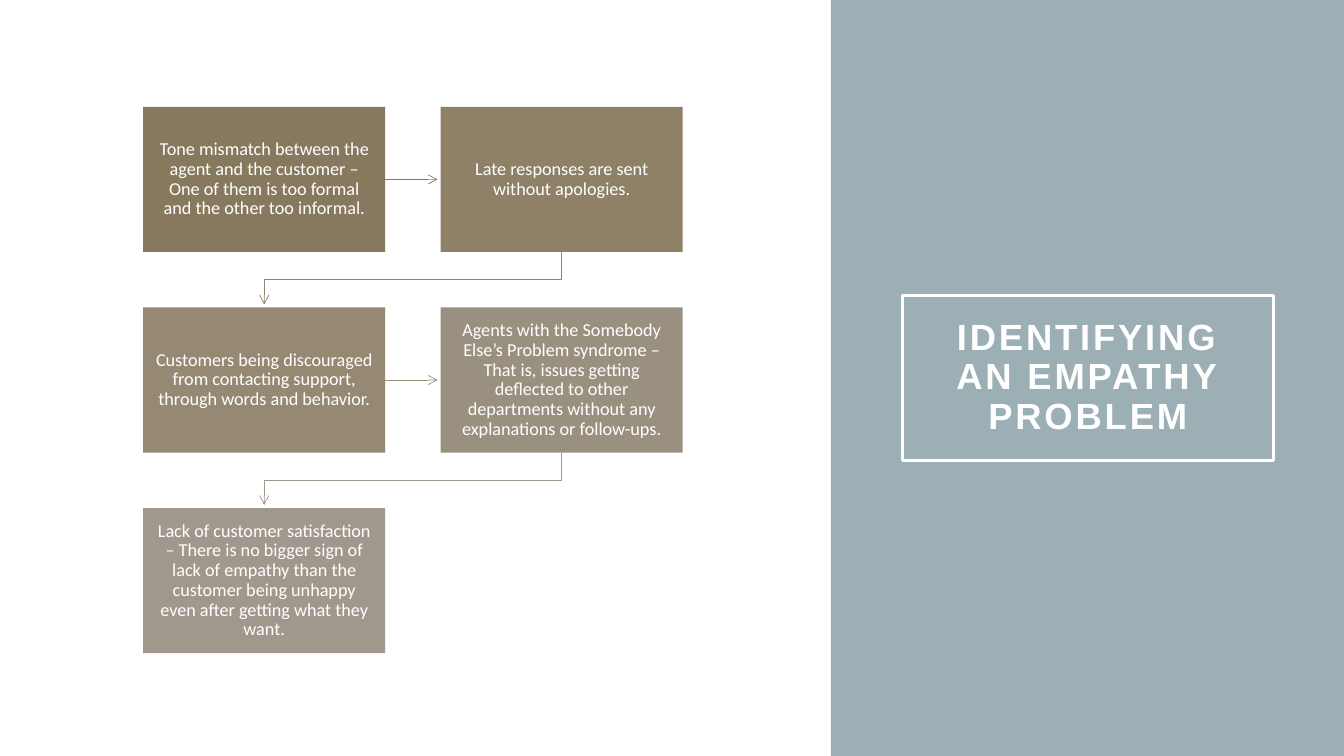
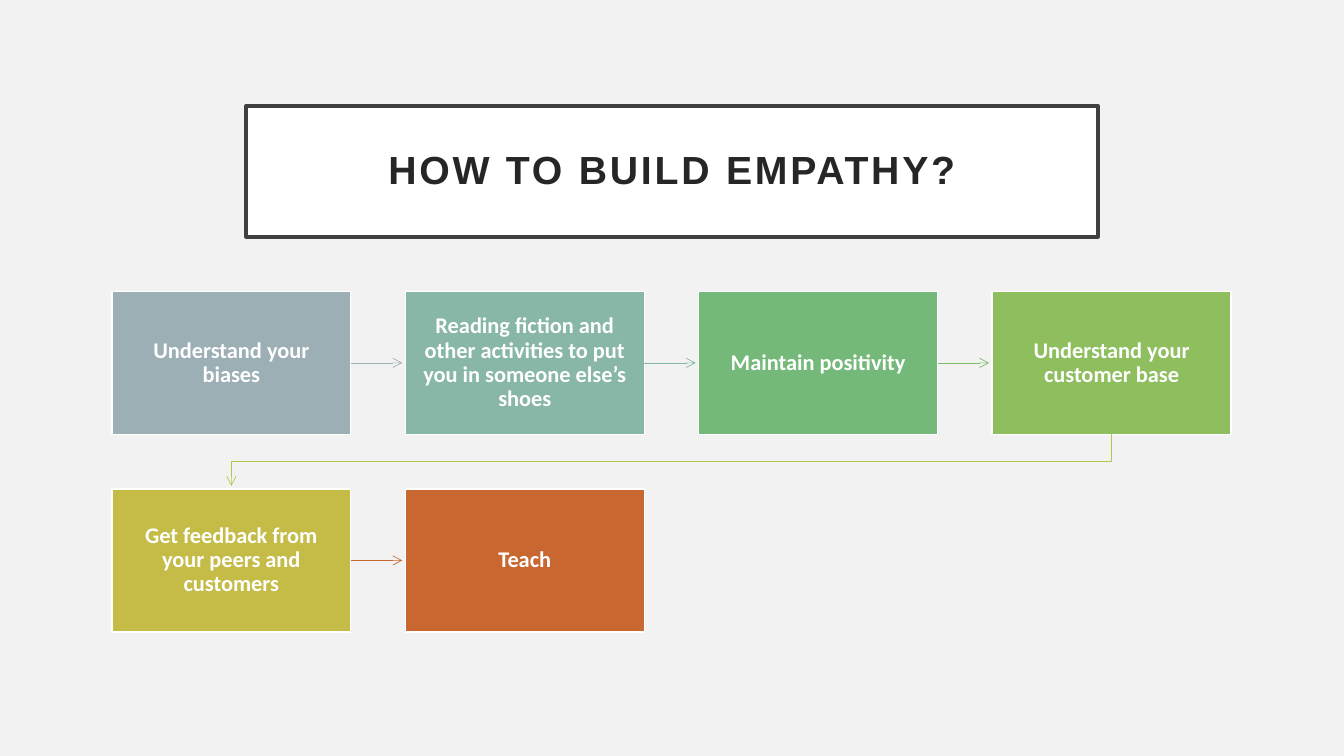
"""Build two slides about spotting an empathy problem and building empathy."""
from dataclasses import dataclass
from itertools import pairwise
from typing import Optional

import lxml.etree
import pptx
import pptx.dml.color
import pptx.enum.shapes
import pptx.enum.text
import pptx.oxml.ns
import pptx.util

Inches = pptx.util.Inches
RECTANGLE = pptx.enum.shapes.MSO_SHAPE.RECTANGLE


@dataclass(frozen=True)
class Theme:
    white: str = "FFFFFF"
    pale: str = "F2F2F2"
    slate: str = "9BAFB5"
    frame: str = "404040"
    ink: str = "262626"
    problem_fills: tuple[str, ...] = ("87795D", "8F8167", "958973", "9A9080", "A0988C")
    problem_arrows: tuple[str, ...] = ("87795D", "91846B", "998E7B", "A0988C")
    habit_fills: tuple[str, ...] = ("9BAFB5", "88B6A7", "74B97A", "8EBE5E", "C4BC47", "C96731")
    habit_arrows: tuple[str, ...] = ("9BAFB5", "83B79E", "7ABC69", "BAC34D", "C96731")
    title_font: str = "Arial"
    body_font: str = "Calibri"
    side_title_size: int = 26
    top_title_size: int = 28
    problem_size: int = 13
    habit_size: int = 16
    title_spacing: int = 2
    line_spacing: float = 0.9
    frame_width: float = 2.5
    box_line_width: float = 1
    arrow_width: float = 0.5


@dataclass(frozen=True)
class Area:
    left: float
    top: float
    width: float
    height: float

    def lengths(self) -> tuple[int, int, int, int]:
        return Inches(self.left), Inches(self.top), Inches(self.width), Inches(self.height)


@dataclass(frozen=True)
class TextStyle:
    font: str
    size: int
    color: str
    bold: bool
    inset: float
    spacing: int = 0


@dataclass(frozen=True)
class Title:
    text: str
    area: Area
    size: int
    color: str
    line: str
    fill: Optional[str] = None


@dataclass(frozen=True)
class Flow:
    steps: tuple[str, ...]
    fills: tuple[str, ...]
    arrows: tuple[str, ...]
    columns: int
    first: Area
    gap: float
    size: int
    bold: bool = False
    line: Optional[str] = None


THEME = Theme()
ARROW_CLEARANCE = 0.03

SIDE_PANEL = Area(8.24, 0, 5.09, 7.5)
PROBLEM_TITLE = Title("IDENTIFYING AN EMPATHY PROBLEM", Area(8.95, 2.93, 3.68, 1.64),
                      THEME.side_title_size, THEME.white, THEME.white)
HABIT_TITLE = Title("HOW TO BUILD EMPATHY?", Area(2.44, 1.05, 8.45, 1.3),
                    THEME.top_title_size, THEME.ink, THEME.frame, THEME.white)
PROBLEMS = Flow(
    steps=(
        "Tone mismatch between the agent and the customer – One of them is too formal "
        "and the other too informal.",
        "Late responses are sent without apologies.",
        "Customers being discouraged from contacting support, through words and behavior.",
        "Agents with the Somebody Else’s Problem syndrome – That is, issues getting "
        "deflected to other departments without any explanations or follow-ups.",
        "Lack of customer satisfaction – There is no bigger sign of lack of empathy than "
        "the customer being unhappy even after getting what they want.",
    ),
    fills=THEME.problem_fills,
    arrows=THEME.problem_arrows,
    columns=2,
    first=Area(1.42, 1.06, 2.4, 1.44),
    gap=0.55,
    size=THEME.problem_size,
)
HABITS = Flow(
    steps=(
        "Understand your biases",
        "Reading fiction and other activities to put you in someone else’s shoes",
        "Maintain positivity",
        "Understand your customer base",
        "Get feedback from your peers and customers",
        "Teach",
    ),
    fills=THEME.habit_fills,
    arrows=THEME.habit_arrows,
    columns=4,
    first=Area(1.11, 2.89, 2.37, 1.42),
    gap=0.54,
    size=THEME.habit_size,
    bold=True,
    line=THEME.white,
)


def rgb(color: str) -> pptx.dml.color.RGBColor:
    return pptx.dml.color.RGBColor.from_string(color)


def paint(shape, fill: Optional[str], line: Optional[str], width: float) -> None:
    """Set a shape's fill and outline, with None for nothing."""
    if fill:
        shape.fill.solid()
        shape.fill.fore_color.rgb = rgb(fill)
    else:
        shape.fill.background()
    if line:
        shape.line.color.rgb = rgb(line)
        shape.line.width = pptx.util.Pt(width)
    else:
        shape.line.fill.background()


def write(shape, text: str, style: TextStyle) -> None:
    """Put one centred paragraph in a shape."""
    frame = shape.text_frame
    frame.text = text
    frame.word_wrap = True
    frame.auto_size = pptx.enum.text.MSO_AUTO_SIZE.NONE
    frame.vertical_anchor = pptx.enum.text.MSO_ANCHOR.MIDDLE
    frame.margin_left = frame.margin_right = Inches(style.inset)
    frame.margin_top = frame.margin_bottom = Inches(style.inset)
    para = frame.paragraphs[0]
    para.alignment = pptx.enum.text.PP_ALIGN.CENTER
    para.line_spacing = THEME.line_spacing
    for span in para.runs:
        span.font.name = style.font
        span.font.size = pptx.util.Pt(style.size)
        span.font.bold = style.bold
        span.font.color.rgb = rgb(style.color)
        if style.spacing:
            span.font._element.set("spc", str(style.spacing * 100))


def add_box(page, area: Area, fill: str, line: Optional[str] = None):
    box = page.shapes.add_shape(RECTANGLE, *area.lengths())
    box.shadow.inherit = False
    paint(box, fill, line, THEME.box_line_width)
    return box


def add_page(deck, background: str):
    page = deck.slides.add_slide(deck.slide_layouts.get_by_name("Title Only"))
    page.background.fill.solid()
    page.background.fill.fore_color.rgb = rgb(background)
    return page


def format_title(page, title: Title) -> None:
    """Place the title placeholder in front as a framed box."""
    box = page.shapes.title
    page.shapes.element.append(box.element)
    box.left, box.top, box.width, box.height = title.area.lengths()
    paint(box, title.fill, title.line, THEME.frame_width)
    write(box, title.text, TextStyle(THEME.title_font, title.size, title.color, True,
                                     0.2, THEME.title_spacing))


def style_arrow(arrow, color: str) -> None:
    """Give a line its colour, width and open arrowhead."""
    arrow.line.color.rgb = rgb(color)
    arrow.line.width = pptx.util.Pt(THEME.arrow_width)
    qn = pptx.oxml.ns.qn
    properties = arrow.element.spPr
    lxml.etree.SubElement(properties.find(qn("a:ln")), qn("a:tailEnd"), type="arrow")
    if properties.find(qn("a:effectLst")) is None:
        lxml.etree.SubElement(properties, qn("a:effectLst"))


def add_straight_arrow(page, source, target, color: str) -> None:
    middle = source.top + source.height // 2
    arrow = page.shapes.add_connector(
        pptx.enum.shapes.MSO_CONNECTOR.STRAIGHT,
        source.left + source.width, middle,
        target.left - Inches(ARROW_CLEARANCE), middle)
    arrow.begin_connect(source, 3)
    style_arrow(arrow, color)


def add_return_arrow(page, source, target, color: str) -> None:
    """Lead from the end of one row to the start of the next."""
    start_x = source.left + source.width // 2
    end_x = target.left + target.width // 2
    start_y = source.top + source.height
    turn_y = (start_y + target.top) // 2
    outline = page.shapes.build_freeform(start_x, start_y)
    outline.add_line_segments(
        [(start_x, turn_y), (end_x, turn_y), (end_x, target.top - Inches(ARROW_CLEARANCE))],
        close=False)
    arrow = outline.convert_to_shape()
    arrow.shadow.inherit = False
    arrow.fill.background()
    style_arrow(arrow, color)


def add_flow(page, flow: Flow) -> None:
    """Lay out the steps row by row and join each to the next."""
    style = TextStyle(THEME.body_font, flow.size, THEME.white, flow.bold, 0.12)
    first = flow.first
    boxes = []
    for index, (step, fill) in enumerate(zip(flow.steps, flow.fills)):
        row, column = divmod(index, flow.columns)
        area = Area(first.left + column * (first.width + flow.gap),
                    first.top + row * (first.height + flow.gap),
                    first.width, first.height)
        box = add_box(page, area, fill, flow.line)
        write(box, step, style)
        boxes.append(box)
    for (source, target), color in zip(pairwise(boxes), flow.arrows):
        join = add_straight_arrow if source.top == target.top else add_return_arrow
        join(page, source, target, color)


def main() -> None:
    deck = pptx.Presentation()
    deck.slide_width, deck.slide_height = Inches(13.33), Inches(7.5)

    problem_page = add_page(deck, THEME.white)
    add_box(problem_page, SIDE_PANEL, THEME.slate)
    format_title(problem_page, PROBLEM_TITLE)
    add_flow(problem_page, PROBLEMS)

    habit_page = add_page(deck, THEME.pale)
    format_title(habit_page, HABIT_TITLE)
    add_flow(habit_page, HABITS)

    deck.save("out.pptx")


if __name__ == "__main__":
    main()
